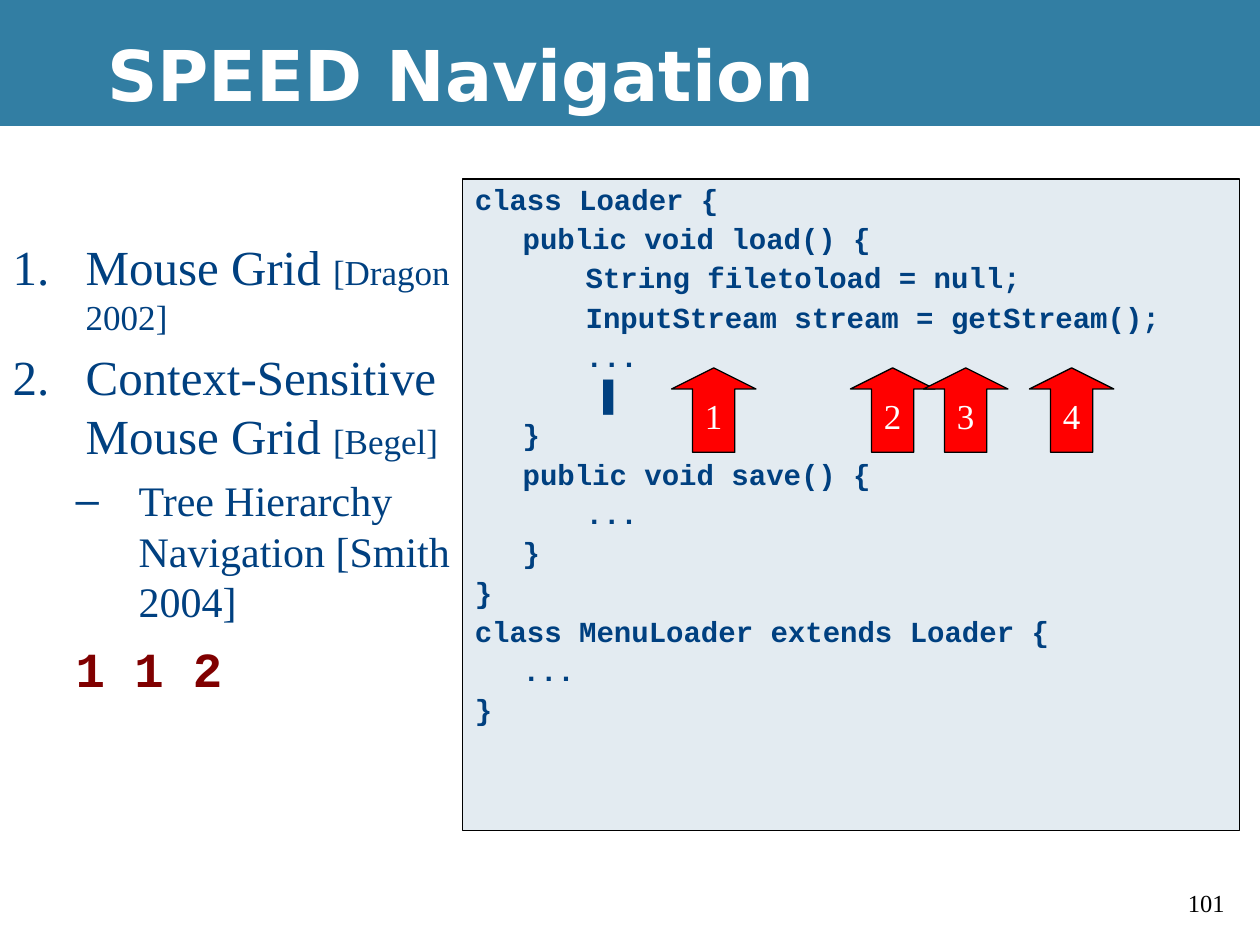
import pptx
import pptx.util
import pptx.dml.color
import pptx.enum.shapes
import pptx.enum.text
import pptx.oxml.ns
import lxml.etree
from dataclasses import dataclass

Inches = pptx.util.Inches
Shape = pptx.enum.shapes.MSO_SHAPE
Align = pptx.enum.text.PP_ALIGN
Anchor = pptx.enum.text.MSO_ANCHOR


@dataclass(frozen=True)
class Theme:
    black: str = "000000"
    white: str = "FFFFFF"
    band: str = "327EA3"
    ink: str = "004080"
    spoken: str = "800000"
    panel: str = "E3EBF1"
    arrow: str = "FF0000"
    title_font: str = "DejaVu Sans"
    text_font: str = "Times New Roman"
    code_font: str = "Courier New"
    cursor_font: str = "Arial"
    title_size: float = 40
    item_size: float = 28
    sub_size: float = 24
    small_size: float = 20
    code_size: float = 16.6
    number_size: float = 14
    outline: float = 0.75


THEME = Theme()

TITLE = "SPEED Navigation"
PAGE_NUMBER = "101"
NUMBERED = [("Mouse Grid ", "[Dragon 2002]"), ("Context-Sensitive Mouse Grid ", "[Begel]")]
SUB_ITEM = "Tree Hierarchy Navigation [Smith 2004]"
SPOKEN = "1 1 2"
CURSOR = "▌"
CODE = [
    "class Loader {",
    "\tpublic void load() {",
    "\t\tString filetoload = null;",
    "\t\tInputStream stream = getStream();",
    "\t\t...",
    "\t\t " + CURSOR,
    "\t}",
    "\tpublic void save() {",
    "\t\t...",
    "\t}",
    "}",
    "class MenuLoader extends Loader {",
    "\t...",
    "}",
]
ARROW_LEFTS = [5.33, 6.75, 7.33, 8.17]
ARROW_TOP, ARROW_SIZE = 2.92, 0.67


def rgb(value):
    return pptx.dml.color.RGBColor.from_string(value)


def sub(parent, tag, **attributes):
    return lxml.etree.SubElement(parent, pptx.oxml.ns.qn(tag), attributes)


def place(shape, left, top, width, height):
    shape.left, shape.top = Inches(left), Inches(top)
    shape.width, shape.height = Inches(width), Inches(height)


def add_para(shape, text, *, size, color, font, bold=False, align=Align.LEFT, level=0,
             indent=(0, 0), before=0, spacing=1, bullet=None, tabs=False):
    frame = shape.text_frame
    first = not frame.paragraphs[0].runs
    para = frame.paragraphs[0] if first else frame.add_paragraph()
    para.level, para.alignment, para.line_spacing = level, align, spacing
    para.space_before = pptx.util.Pt(0 if first else before)
    para.space_after = pptx.util.Pt(0)
    props = para._p.get_or_add_pPr()
    props.set("marL", str(Inches(indent[0])))
    props.set("indent", str(Inches(indent[1])))
    if bullet:
        sub(sub(props, "a:buClr"), "a:srgbClr", val=color)
        if bullet == "number":
            sub(props, "a:buAutoNum", type="arabicPeriod")
        else:
            sub(props, "a:buChar", char=bullet)
    else:
        sub(props, "a:buNone")
    if tabs:
        stops = sub(props, "a:tabLst")
        for inch in range(8):
            sub(stops, "a:tab", pos=str(Inches(inch)), algn="l")
    add_span(para, text, size=size, color=color, font=font, bold=bold)
    return para


def add_span(para, text, *, size, color, font, bold=False):
    span = para.add_run()
    span.text = text
    span.font.size, span.font.name, span.font.bold = pptx.util.Pt(size), font, bold
    span.font.color.rgb = rgb(color)


def add_box(page, kind, left, top, width, height, fill, outlined=False):
    box = page.shapes.add_shape(kind, Inches(left), Inches(top), Inches(width), Inches(height))
    box.shadow.inherit = False
    box.fill.solid()
    box.fill.fore_color.rgb = rgb(fill)
    if outlined:
        box.line.color.rgb = rgb(THEME.black)
        box.line.width = pptx.util.Pt(THEME.outline)
    else:
        box.line.fill.background()
    return box


def prepare(shape, anchor, wrap=True):
    frame = shape.text_frame
    frame.auto_size = pptx.enum.text.MSO_AUTO_SIZE.NONE
    frame.word_wrap, frame.vertical_anchor = wrap, anchor


def add_backdrop(page):
    page.background.fill.solid()
    page.background.fill.fore_color.rgb = rgb(THEME.black)
    bands = [(1, 6.5, THEME.white), (0, 1, THEME.band)]
    for order, (top, height, fill) in enumerate(bands):
        band = add_box(page, Shape.RECTANGLE, 0, top, 10, height, fill)
        page.shapes._spTree.insert(2 + order, band._element)
    number = page.shapes.add_textbox(Inches(9.33), Inches(7), Inches(0.5), Inches(0.34))
    prepare(number, Anchor.TOP)
    add_para(number, PAGE_NUMBER, size=THEME.number_size, color=THEME.black, font=THEME.text_font)


def fill_title(title):
    place(title, 0.75, 0.08, 9.25, 1)
    prepare(title, Anchor.MIDDLE)
    add_para(title, TITLE, size=THEME.title_size, color=THEME.white,
             font=THEME.title_font, bold=True)


def fill_body(body):
    place(body, 0, 1.83, 3.83, 4.83)
    prepare(body, Anchor.TOP)
    look = dict(color=THEME.ink, font=THEME.text_font)
    for name, source in NUMBERED:
        para = add_para(body, name, size=THEME.item_size, indent=(0.58, -0.58), before=5,
                        bullet="number", **look)
        add_span(para, source, size=THEME.small_size, **look)
    add_para(body, SUB_ITEM, size=THEME.sub_size, level=1, indent=(1, -0.5), before=6,
             bullet="–", **look)
    add_para(body, SPOKEN, size=THEME.item_size, color=THEME.spoken, font=THEME.code_font,
             bold=True, level=1, indent=(1, -0.5), before=7)


def add_code(page):
    panel = add_box(page, Shape.RECTANGLE, 3.67, 1.42, 6.17, 5.17, THEME.panel, outlined=True)
    prepare(panel, Anchor.TOP)
    look = dict(size=THEME.code_size, color=THEME.ink, bold=True)
    for line in CODE:
        code, cursor, _ = line.partition(CURSOR)
        para = add_para(panel, code, font=THEME.code_font, indent=(0.38, -0.38),
                        before=4.5, spacing=0.9, tabs=True, **look)
        if cursor:
            add_span(para, cursor, font=THEME.cursor_font, **look)


def add_arrows(page):
    for number, left in enumerate(ARROW_LEFTS, start=1):
        arrow = add_box(page, Shape.UP_ARROW, left, ARROW_TOP, ARROW_SIZE, ARROW_SIZE,
                        THEME.arrow, outlined=True)
        arrow.adjustments[0], arrow.adjustments[1] = 0.5, 0.25
        prepare(arrow, Anchor.MIDDLE, wrap=False)
        add_para(arrow, str(number), size=THEME.small_size, color=THEME.white,
                 font=THEME.text_font, align=Align.CENTER)


def main():
    deck = pptx.Presentation()
    deck.slide_width, deck.slide_height = Inches(10), Inches(7.5)
    page = deck.slides.add_slide(deck.slide_layouts[1])
    add_backdrop(page)
    fill_title(page.shapes.title)
    fill_body(page.placeholders[1])
    add_code(page)
    add_arrows(page)
    deck.save("out.pptx")


if __name__ == "__main__":
    main()
